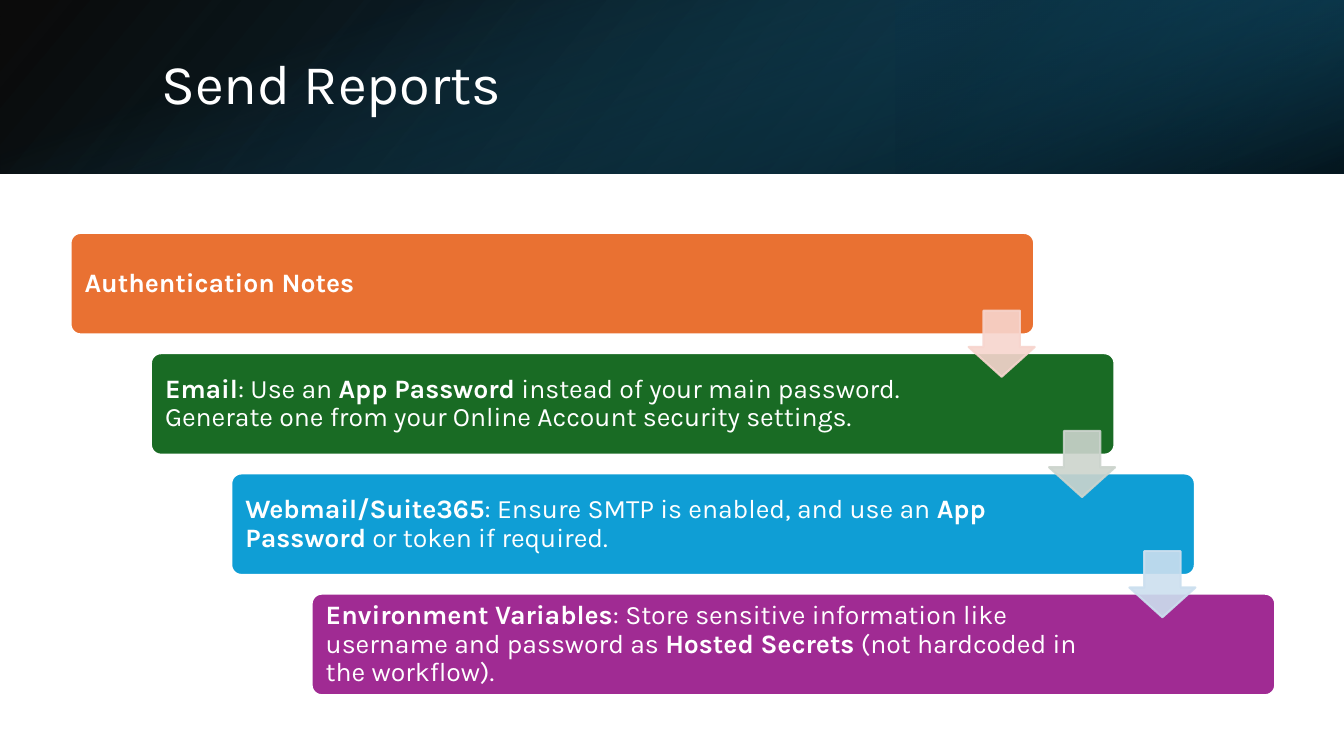
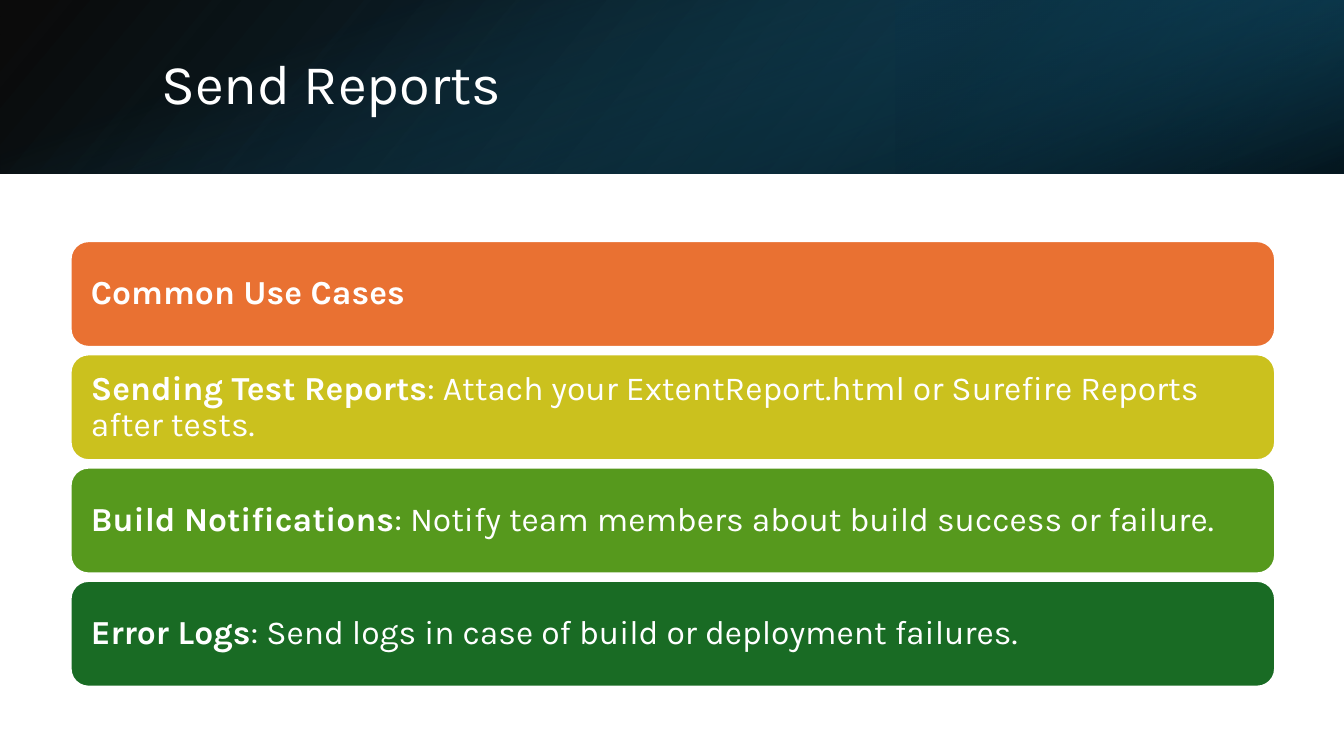
from dataclasses import dataclass

from pptx import Presentation
from pptx import util as u
from pptx.dml.color import RGBColor
from pptx.enum import shapes, text
from pptx.oxml import parse_xml
from pptx.oxml.ns import nsdecls, qn

FONT = "Karla"
WHITE, ORANGE, OLIVE, LIME = "FFFFFF", "E97132", "CBC11E", "56991D"
GREEN, BLUE, PURPLE = "196B24", "0F9ED5", "A02B93"

SLIDE_W, SLIDE_H, BAND_H = 960, 540, 124
BAR_LEFT = 50.4
OUTLINE = 1.5


@dataclass(frozen=True)
class Box:
    left: float
    top: float
    width: float
    height: float

    def shifted(self, dx: float, dy: float) -> "Box":
        return Box(self.left + dx, self.top + dy, self.width, self.height)

    def points(self) -> tuple:
        return tuple(u.Pt(v) for v in (self.left, self.top, self.width, self.height))


@dataclass(frozen=True)
class Stop:
    position: float
    color: str
    opacity: int = 100


@dataclass(frozen=True)
class Band:
    box: Box
    stops: tuple[Stop, Stop]
    angle: int  # clockwise
    rotation: int = 0
    flipped: bool = False


@dataclass(frozen=True)
class Bar:
    wording: str  # ** switches bold on and off
    color: str


HEADER_BANDS = (
    Band(Box(0, 0, SLIDE_W, BAND_H),
         (Stop(0, "000000", 96), Stop(1, "104862")), 140, flipped=True),
    Band(Box(640, 0, 320, BAND_H),
         (Stop(0.19, "0B3041", 68), Stop(1, "156082", 79)), 320, 180, True),
    Band(Box((SLIDE_W - BAND_H) / 2, (BAND_H - SLIDE_W) / 2, BAND_H, SLIDE_W),
         (Stop(0.23, "156082", 0), Stop(0.99, "000000", 74)), 340, 90),
)
TITLE_BOX = Box(108, 27.4, 790.6, 69.1)

AUTH_NOTES = (
    Bar("**Authentication Notes**", ORANGE),
    Bar("**Email**: Use an **App Password** instead of your main password. "
        "Generate one from your Online Account security settings.", GREEN),
    Bar("**Webmail/Suite365**: Ensure SMTP is enabled, and use an "
        "**App Password** or token if required.", BLUE),
    Bar("**Environment Variables**: Store sensitive information like username "
        "and password as **Hosted Secrets** (not hardcoded in the workflow).", PURPLE),
)
ARROW_TINTS = ("F7D5CE", "CCD4CD", "CCDFEF")

USE_CASES = (
    Bar("**Common Use Cases**", ORANGE),
    Bar("**Sending Test Reports**: Attach your ExtentReport.html or "
        "Surefire Reports after tests.", OLIVE),
    Bar("**Build Notifications**: Notify team members about build success "
        "or failure.", LIME),
    Bar("**Error Logs**: Send logs in case of build or deployment failures.", GREEN),
)


def rgb(color: str) -> RGBColor:
    return RGBColor.from_string(color)


def set_opacity(color_element, percent: int) -> None:
    color_element.append(
        parse_xml(f'<a:alpha {nsdecls("a")} val="{percent * 1000}"/>'))


def write(shape, wording: str, *, size: float, color: str = WHITE,
          insets: tuple = (7.2, 3.6, 7.2, 3.6)) -> None:
    """Fill a shape with left-aligned text, bold between ** marks."""
    frame = shape.text_frame
    frame.word_wrap = True
    frame.auto_size = text.MSO_AUTO_SIZE.NONE
    frame.vertical_anchor = text.MSO_ANCHOR.MIDDLE
    (frame.margin_left, frame.margin_top,
     frame.margin_right, frame.margin_bottom) = map(u.Pt, insets)
    paragraph = frame.paragraphs[0]
    paragraph.alignment = text.PP_ALIGN.LEFT
    paragraph.line_spacing = 0.9
    for index, part in enumerate(wording.split("**")):
        if part:
            run = paragraph.add_run()
            run.text = part
            run.font.name = FONT
            run.font.size = u.Pt(size)
            run.font.bold = index % 2 == 1
            run.font.color.rgb = rgb(color)


def add_solid(slide, kind, box: Box, color: str, line: str,
              adjustments: tuple = (), opacity: int = 100):
    shape = slide.shapes.add_shape(kind, *box.points())
    shape.shadow.inherit = False
    for index, value in enumerate(adjustments):
        shape.adjustments[index] = value
    shape.fill.solid()
    shape.fill.fore_color.rgb = rgb(color)
    shape.line.color.rgb = rgb(line)
    shape.line.width = u.Pt(OUTLINE)
    if opacity < 100:
        for color_element in shape.element.spPr.iter(qn("a:srgbClr")):
            set_opacity(color_element, opacity)
    return shape


def add_band(slide, band: Band) -> None:
    shape = slide.shapes.add_shape(shapes.MSO_SHAPE.RECTANGLE, *band.box.points())
    shape.shadow.inherit = False
    shape.line.fill.background()
    shape.rotation = band.rotation
    if band.flipped:
        shape.element.spPr.xfrm.set("flipH", "1")
    shape.fill.gradient()
    shape.fill.gradient_angle = 360 - band.angle
    for target, stop in zip(shape.fill.gradient_stops, band.stops):
        target.position = stop.position
        target.color.rgb = rgb(stop.color)
    for color_element, stop in zip(shape.element.spPr.iter(qn("a:srgbClr")), band.stops):
        if stop.opacity < 100:
            set_opacity(color_element, stop.opacity)


def add_titled_slide(deck, heading: str):
    slide = deck.slides.add_slide(deck.slide_layouts[5])
    for band in HEADER_BANDS:
        add_band(slide, band)
    title = slide.shapes.title
    title.left, title.top, title.width, title.height = TITLE_BOX.points()
    write(title, heading, size=40)
    # Bring the title in front of the bands
    title.element.getparent().append(title.element)
    return slide


def add_bars(slide, bars: tuple[Bar, ...], first: Box, step: tuple[float, float], *,
             size: float, insets: tuple, corner: float) -> None:
    for index, bar in enumerate(bars):
        box = first.shifted(index * step[0], index * step[1])
        shape = add_solid(slide, shapes.MSO_SHAPE.ROUNDED_RECTANGLE, box,
                          bar.color, WHITE, (corner,))
        write(shape, bar.wording, size=size, insets=insets)


def build_auth_notes(deck) -> None:
    slide = add_titled_slide(deck, "Send Reports")
    # Staircase of bars
    first, step = Box(BAR_LEFT, 166.4, 688.3, 72.5), (57.4, 85.9)
    add_bars(slide, AUTH_NOTES, first, step, size=19,
             insets=(8, 8, 113, 8), corner=0.1)
    # Arrows leading from each bar to the next
    first_arrow = Box(first.left + 641.5, first.top + 55.5, 47.2, 47.2)
    for index, tint in enumerate(ARROW_TINTS):
        add_solid(slide, shapes.MSO_SHAPE.DOWN_ARROW,
                  first_arrow.shifted(index * step[0], index * step[1]),
                  tint, tint, (0.55, 0.45), opacity=90)


def build_use_cases(deck) -> None:
    slide = add_titled_slide(deck, "Send Reports")
    # Stack of full-width bars
    add_bars(slide, USE_CASES, Box(BAR_LEFT, 172.2, 860.4, 75.6), (0, 80.9),
             size=24, insets=(10.8, 7.2, 10.8, 7.2), corner=0.17)


def main() -> None:
    deck = Presentation()
    deck.slide_width, deck.slide_height = u.Pt(SLIDE_W), u.Pt(SLIDE_H)
    build_auth_notes(deck)
    build_use_cases(deck)
    deck.save("out.pptx")


if __name__ == "__main__":
    main()
